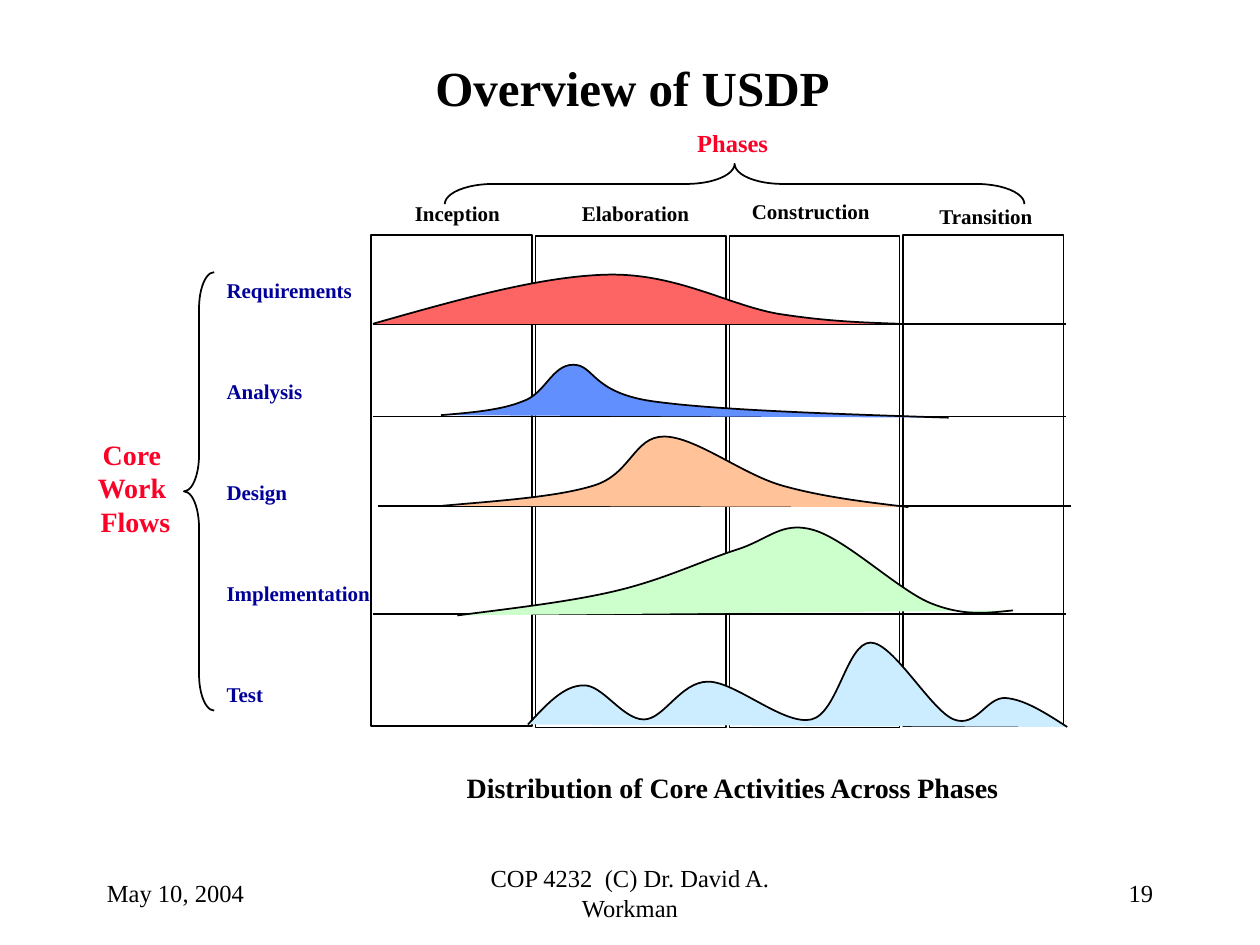
from pptx import Presentation
from pptx.dml.color import RGBColor
from pptx.enum.shapes import MSO_CONNECTOR as Connector, MSO_SHAPE as Shape
from pptx.enum.text import MSO_ANCHOR as Anchor, PP_ALIGN as Align
from pptx.oxml.ns import qn
from pptx.util import Inches, Pt
from lxml.etree import SubElement

BLACK = RGBColor(0x00, 0x00, 0x00)
WHITE = RGBColor(0xFF, 0xFF, 0xFF)
RED = RGBColor(0xFC, 0x01, 0x28)
NAVY = RGBColor(0x00, 0x00, 0x99)
CORAL = RGBColor(0xFD, 0x65, 0x65)
BLUE = RGBColor(0x61, 0x8F, 0xFD)
PEACH = RGBColor(0xFF, 0xC2, 0x99)
MINT = RGBColor(0xCC, 0xFF, 0xCC)
SKY = RGBColor(0xCC, 0xEC, 0xFF)

FONT = "Times New Roman"
WIDTH, HEIGHT = Inches(10), Inches(7.5)
COLUMN, ROW = WIDTH / 100, HEIGHT / 75

PHASES = [
    ("Inception", 0.05, 0, 12.75, 6.9, -3.25),
    ("Elaboration", 13.1, 0.1, 15.1, 21.05, -3.25),
    ("Construction", 28.5, 0.1, 13.5, 34.95, -3.35),
    ("Transition", 42.25, 0, 12.75, 48.85, -2.95),
]

WORKFLOWS = [
    ("Requirements", 7.05, 0.2, CORAL, [
        (0.2, 0), (6.9, -1.9), (13.6, -3.8), (18.9, -3.9), (24.3, -4),
        (28.4, -1.5), (32.3, -0.8), (36.1, -0.2), (39, -0.1), (42, 0)]),
    ("Analysis", 14.4, 0.2, BLUE, [
        (5.6, -0.1), (8, -0.3), (10.4, -0.5), (12.1, -1.2), (13.9, -1.8),
        (14.4, -4.1), (16.1, -4.1), (17.8, -4.1), (17.5, -1.9),
        (22.4, -1.2), (27.4, -0.5), (36.7, -0.2), (45.9, 0.1)]),
    ("Design", 21.5, 0.6, PEACH, [
        (5.7, 0), (10.2, -0.4), (14.8, -0.7), (17.7, -1.6), (20.7, -2.5),
        (20.9, -5.5), (23.3, -5.5), (25.8, -5.5), (29.5, -2.5),
        (32.7, -1.6), (35.9, -0.7), (39.3, -0.3), (42.7, 0.1)]),
    ("Implementation", 30.1, 0.2, MINT, [
        (6.9, 0.1), (11.5, -0.5), (16, -1), (19.7, -1.9), (23.4, -2.8),
        (26.5, -4.3), (29, -5.1), (31.6, -5.9), (32.6, -7.4), (35.1, -6.7),
        (37.7, -6), (41.8, -2), (44.4, -0.9), (47.1, 0.2), (49, -0.1),
        (51, -0.3)]),
    ("Test", 38.95, None, SKY, [
        (12.5, -0.1), (13.9, -1.6), (15.3, -3.2), (16.9, -3.2), (18.4, -3.3),
        (20, -0.5), (21.7, -0.5), (23.3, -0.5), (24.6, -3.5), (26.8, -3.5),
        (29, -3.5), (32.8, 0), (35, -0.5), (37.1, -1), (37.8, -6.6),
        (39.7, -6.6), (41.5, -6.6), (44.5, -1.2), (46.3, -0.5), (48.1, 0.2),
        (48.9, -2.3), (50.4, -2.2), (51.9, -2.1), (53.6, -1), (55.3, 0.1)]),
]


def place(left, top, width, height):
    return (round(left * COLUMN), round(top * ROW),
            round(width * COLUMN), round(height * ROW))


def style(outline, fill=None):
    outline.shadow.inherit = False
    if fill is None:
        outline.fill.background()
    else:
        outline.fill.solid()
        outline.fill.fore_color.rgb = fill
    outline.line.color.rgb = BLACK
    outline.line.width = Pt(1)


def add_text(slide, box, lines, size, color=BLACK, bold=True,
             align=Align.CENTER, anchor=Anchor.TOP, wrap=False, gap=0):
    frame = slide.shapes.add_textbox(*place(*box)).text_frame
    frame.word_wrap = wrap
    frame.vertical_anchor = anchor
    for index, line in enumerate(lines):
        paragraph = frame.paragraphs[0] if index == 0 else frame.add_paragraph()
        paragraph.alignment = align
        if index and gap:
            paragraph.space_before = Pt(gap)
        run = paragraph.add_run()
        run.text = line
        run.font.name = FONT
        run.font.size = Pt(size)
        run.font.bold = bold
        run.font.color.rgb = color


def add_brace(slide, box, rotation=0):
    left, top, width, height = box
    if rotation:
        left, top = left + (width - height) / 2, top + (height - width) / 2
        width, height = height, width
    brace = slide.shapes.add_shape(
        Shape.LEFT_BRACE, *place(left, top, width, height))
    brace.rotation = rotation
    brace.adjustments[0] = 1.2
    style(brace)


def add_baseline(slide, left, level, length):
    x, y, span, _ = place(left, level, length, 0)
    baseline = slide.shapes.add_connector(
        Connector.STRAIGHT, x, y, x + span, y)
    baseline.line.color.rgb = BLACK
    baseline.line.width = Pt(1)
    SubElement(baseline._element.spPr, qn("a:effectLst"))


def add_effort_curve(slide, left, level, fill, controls):
    outline = [place(left + x, level + y, 0, 0)[:2] for x, y in controls]
    builder = slide.shapes.build_freeform(*outline[0])
    builder.add_line_segments(outline[1:], close=False)
    curve = builder.convert_to_shape()
    steps = list(curve._element.spPr.iter(qn("a:lnTo")))
    for start in range(0, len(steps), 3):
        bezier = SubElement(steps[start].getparent(), qn("a:cubicBezTo"))
        for step in steps[start:start + 3]:
            bezier.append(step[0])
            step.getparent().remove(step)
    style(curve, fill)


def add_phase_grid(slide, box):
    left, top, width, height = box
    for _, x, y, span, _, _ in PHASES:
        column = slide.shapes.add_shape(
            Shape.RECTANGLE, *place(left + x, top + y, span, height))
        style(column, WHITE)
    for name, _, _, _, centre, y in PHASES:
        add_text(slide, (left + centre - 6, top + y, 12, 3), [name], 12)
    for _, level, inset, _, _ in WORKFLOWS:
        if inset is not None:
            add_baseline(slide, left + inset, top + level, width)
    for _, level, _, fill, controls in WORKFLOWS:
        add_effort_curve(slide, left, top + level, fill, controls)


def add_phase_heading(slide, box):
    left, top, width, height = box
    add_text(slide, (left + 19.05, top, 9, 3.4), ["Phases"], 14, RED,
             align=Align.LEFT, wrap=True)
    add_brace(slide, (left, top + 3.3, width, height - 3.3), 90)


def add_workflow_heading(slide, box):
    left, top, width, height = box
    add_text(slide, (left, top + 12.7, 8.1, 9), ["Core ", "Work ", "Flows"],
             16, RED)
    add_brace(slide, (left + 7.9, top + 0.1, 2.4, height - 0.2))
    add_text(slide, (left + 10.3, top, width - 10.3, height),
             [workflow[0] for workflow in WORKFLOWS], 12, NAVY,
             align=Align.LEFT, gap=43.4)


def add_footer(slide, box):
    left, top, width, height = box
    parts = [
        (0, 20.8, "May 10, 2004", Align.LEFT),
        (26.65, 31.7, "COP 4232  (C) Dr. David A. Workman", Align.CENTER),
        (width - 20.8, 20.8, "19", Align.RIGHT),
    ]
    for x, span, text, align in parts:
        add_text(slide, (left + x, top, span, height), [text], 14, bold=False,
                 align=align, anchor=Anchor.MIDDLE, wrap=True)


def main():
    deck = Presentation()
    deck.slide_width, deck.slide_height = WIDTH, HEIGHT
    slide = deck.slides.add_slide(deck.slide_layouts[6])
    add_text(slide, (7.7, 4, 85, 5.8), ["Overview of USDP"], 28,
             anchor=Anchor.MIDDLE, wrap=True)
    add_workflow_heading(slide, (6.7, 21.5, 23.7, 35))
    add_phase_grid(slide, (29.4, 18.65, 55, 39))
    add_phase_heading(slide, (35.3, 9.7, 46, 6.5))
    add_text(slide, (35.9, 60.7, 44.5, 3.7),
             ["Distribution of Core Activities Across Phases"], 16)
    add_footer(slide, (7.5, 68.35, 85, 5))
    deck.save("out.pptx")


if __name__ == "__main__":
    main()
